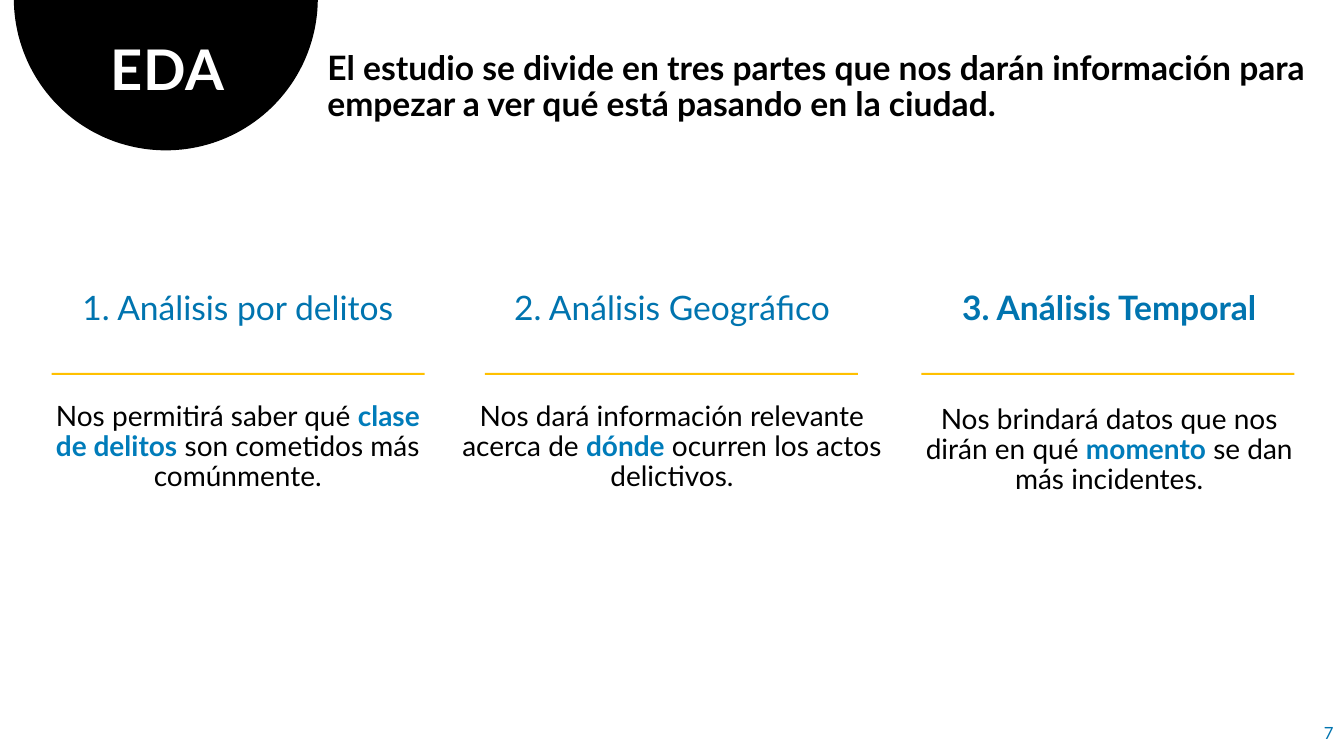
import math
import pptx
import pptx.util
import pptx.dml.color
import pptx.enum.shapes
import pptx.enum.text

Cm = pptx.util.Cm
Pt = pptx.util.Pt
RGB = pptx.dml.color.RGBColor
ALIGN = pptx.enum.text.PP_ALIGN
ANCHOR = pptx.enum.text.MSO_ANCHOR

BLACK = RGB(0x00, 0x00, 0x00)
WHITE = RGB(0xFF, 0xFF, 0xFF)
BLUE = RGB(0x00, 0x74, 0xAF)
ACCENT = RGB(0x00, 0x7C, 0xBA)
GOLD = RGB(0xFF, 0xC0, 0x00)
FONT = "Lato"

# Per column: text left, width, rule left, body top, heading, bold, body parts
COLUMNS = [
    (0.84, 10.31, 1.3, 10.01, "1. Análisis por delitos", False,
     ("Nos permitirá saber qué ", "clase de delitos",
      " son cometidos más comúnmente.")),
    (11.18, 11.51, 12.22, 10.01, "2. Análisis Geográfico", False,
     ("Nos dará información relevante acerca de ", "dónde",
      " ocurren los actos delictivos.")),
    (22.71, 10.49, 23.22, 10.08, "3. Análisis Temporal", True,
     ("Nos brindará datos que nos dirán en qué ", "momento",
      " se dan más incidentes.")),
]


def paint(shape, color):
    shape.shadow.inherit = False
    shape.fill.solid()
    shape.fill.fore_color.rgb = color
    shape.line.fill.background()


def add_text(slide, box, parts, size, color, bold=False,
             align=ALIGN.CENTER, spacing=0.9, anchor=ANCHOR.TOP):
    """Add one paragraph; every second part is an accented word."""
    frame = slide.shapes.add_textbox(*map(Cm, box)).text_frame
    frame.word_wrap = True
    frame.vertical_anchor = anchor
    par = frame.paragraphs[0]
    par.alignment = align
    par.line_spacing = spacing
    par.font.name = FONT
    par.font.size = Pt(size)
    if len(parts) == 1:
        par.font.color.rgb = color
        par.font.bold = bold
    for i, part in enumerate(parts):
        run = par.add_run()
        run.text = part
        if len(parts) > 1:
            run.font.color.rgb = ACCENT if i % 2 else color
            run.font.bold = bool(i % 2)
    return par


def add_dome(slide, mid, radius, depth):
    """Draw the part of a circle that hangs from the top edge."""
    rise = radius - depth
    start = math.asin(rise / radius)
    steps = 90
    turn = (math.pi - 2 * start) / steps
    points = [(Cm(mid + radius * math.cos(start + i * turn)),
               Cm(radius * math.sin(start + i * turn) - rise))
              for i in range(steps + 1)]
    form = slide.shapes.build_freeform(*points[0])
    form.add_line_segments(points[1:], close=True)
    paint(form.convert_to_shape(), BLACK)


def add_rule(slide, left):
    rule = slide.shapes.add_shape(
        pptx.enum.shapes.MSO_SHAPE.RECTANGLE,
        Cm(left), Cm(9.4), Cm(9.4), Cm(0.05))
    paint(rule, GOLD)


def add_column(slide, left, width, rule, top, head, bold, body):
    add_text(slide, (left, 7.21, width, 1.17), [head], 24, BLUE, bold)
    add_rule(slide, rule)
    add_text(slide, (left, top, width, 2.57), body, 20, BLACK)


def main():
    deck = pptx.Presentation()
    deck.slide_width = Cm(33.87)
    deck.slide_height = Cm(19.05)
    slide = deck.slides.add_slide(deck.slide_layouts[6])

    # Title in its dome, with the lead sentence beside it
    add_dome(slide, 4.18, 3.83, 3.79)
    title = add_text(slide, (0.64, 0.94, 7.16, 1.8), ["EDA"], 40, WHITE, True)
    title.runs[0].font._element.set("spc", "60")
    add_text(slide, (8, 1.17, 25.22, 2.11),
             ["El estudio se divide en tres partes que nos darán información "
              "para empezar a ver qué está pasando en la ciudad."],
             24, BLACK, True, ALIGN.LEFT)

    # Three parts of the study
    for column in COLUMNS:
        add_column(slide, *column)

    # Page number
    add_text(slide, (32.46, 17.96, 1.4, 1.02), ["7"], 12, BLUE,
             align=ALIGN.RIGHT, spacing=1, anchor=ANCHOR.MIDDLE)

    deck.save("out.pptx")


if __name__ == "__main__":
    main()
